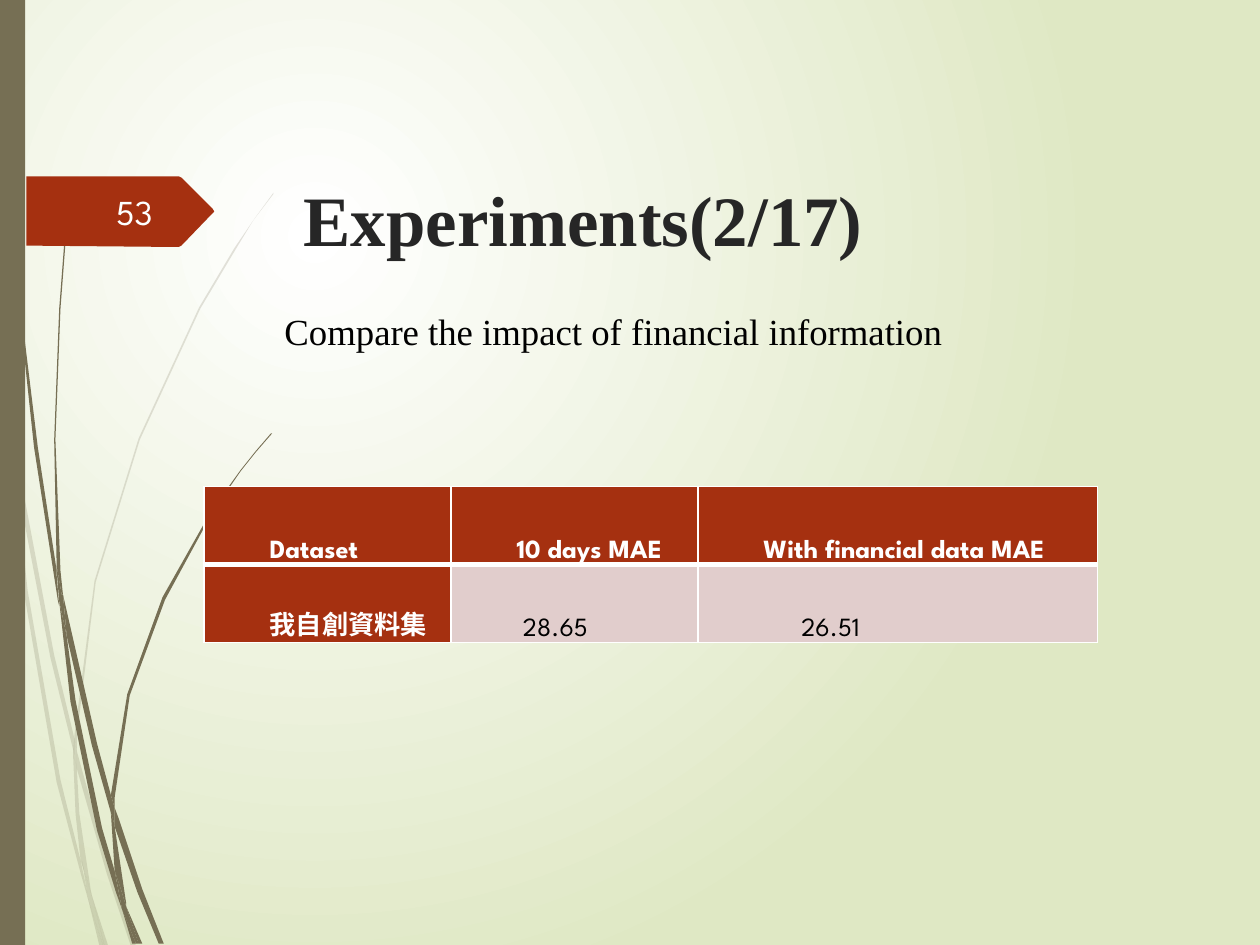
from lxml.etree import SubElement
from pptx import Presentation
from pptx.dml.color import RGBColor
from pptx.enum.shapes import MSO_SHAPE
from pptx.enum.text import MSO_ANCHOR, MSO_AUTO_SIZE, PP_ALIGN
from pptx.oxml.ns import qn
from pptx.util import Pt

EMU_PER_PX = 9144
OLIVE, RUST, PINK, WHITE = "766F54", "A53010", "E1CDCC", "FFFFFF"
SANS, SERIF = "League Spartan", "Times New Roman"

PALE_STALKS = [
    [(8, 350), (6, 322), (0, 282), (0, 299), (7, 344)],
    [(40, 522), (59, 599), (59, 586), (43, 520), (10, 345), (12, 376)],
    [(64, 607), (61, 596), (61, 610), (85, 694), (104, 751), (108, 751), (88, 692)],
    [(83, 751), (86, 751), (73, 711)],
    [(64, 683), (48, 619), (22, 469), (12, 376), (8, 350), (19, 470), (45, 621),
     (64, 693), (70, 714), (69, 707)],
    [(58, 599), (60, 646), (64, 683), (67, 692), (73, 711), (72, 706), (63, 646),
     (61, 610), (61, 608)],
    [(61, 584), (76, 462), (111, 349), (159, 245), (187, 198), (201, 175), (217, 154),
     (217, 153), (201, 175), (186, 197), (158, 244), (110, 348), (75, 461), (59, 584),
     (59, 586), (61, 596)],
    [(70, 714), (79, 751), (82, 751)],
    [(61, 608), (61, 610), (61, 596), (59, 586), (58, 599)],
    [(67, 692), (65, 683), (69, 707), (70, 714), (82, 751), (83, 751), (73, 711)],
]
DARK_STALKS = [
    [(5, 110), (14, 233), (27, 355), (46, 477), (47, 481), (45, 457), (45, 453),
     (30, 355), (15, 232), (6, 109), (4, 48), (3, 0), (2, 0), (3, 48)],
    [(73, 592), (88, 645), (88, 633), (88, 631), (77, 590), (50, 472), (53, 505)],
    [(94, 649), (91, 641), (91, 656), (109, 708), (126, 749), (130, 749), (113, 706)],
    [(91, 691), (81, 657), (60, 556), (53, 505), (47, 477), (56, 557), (77, 659),
     (92, 708), (97, 722), (96, 717)],
    [(50, 472), (48, 453), (44, 349), (48, 245), (52, 193), (58, 141), (51, 193),
     (47, 245), (43, 349), (45, 449), (49, 472)],
    [(110, 749), (113, 749), (100, 719)],
    [(47, 477), (53, 505), (50, 472), (49, 472), (45, 449), (45, 453)],
    [(91, 633), (103, 552), (131, 476), (169, 406), (191, 374), (203, 359), (216, 344),
     (215, 344), (203, 358), (191, 373), (168, 405), (129, 474), (101, 551), (88, 631),
     (91, 641)],
    [(97, 722), (105, 749), (108, 749)],
    [(88, 645), (91, 691), (96, 706), (100, 719), (100, 716), (91, 656), (90, 651)],
    [(88, 645), (90, 651), (91, 656), (91, 641), (88, 631), (88, 633)],
    [(96, 706), (91, 691), (96, 717), (97, 722), (108, 749), (110, 749), (100, 719)],
]
PAGE_TAG = [(169, 169), (144, 195), (142, 196), (132, 196), (21, 195), (21, 140),
            (132, 140), (142, 140), (144, 141), (169, 166), (170, 168)]

HEADERS = ["Dataset", "10 days MAE", "With financial data MAE"]
RESULTS = ["我自創資料集", "28.65", "26.51"]
RESULT_INDENTS = [50, 55, 80]


def px(length):
    """Turn px into EMU."""
    return length * EMU_PER_PX


def color(value):
    """Turn a hex string into a colour."""
    return RGBColor.from_string(value)


def paint(shape, fill, opacity=100):
    """Give a shape a flat fill without line or shadow."""
    shape.shadow.inherit = False
    shape.line.fill.background()
    shape.fill.solid()
    shape.fill.fore_color.rgb = color(fill)
    if opacity < 100:
        fill_color = shape.fill._xPr.find(qn("a:solidFill"))[0]
        SubElement(fill_color, qn("a:alpha"), val=str(opacity * 1000))


def add_outline(shapes, points, fill, opacity=100):
    """Draw a closed filled outline."""
    builder = shapes.build_freeform(*points[0], scale=EMU_PER_PX)
    builder.add_line_segments(points[1:], close=True)
    paint(builder.convert_to_shape(), fill, opacity)


def add_stalks(slide, outlines, opacity):
    """Draw a group of grass stalks."""
    group = slide.shapes.add_group_shape()
    for points in outlines:
        add_outline(group.shapes, points, OLIVE, opacity)


def set_background(slide):
    """Fill the background with a circular gradient."""
    fill = slide.background.fill
    fill.gradient()
    for stop, value in zip(fill.gradient_stops, (WHITE, "DFE8C4")):
        stop.color.rgb = color(value)
    gradient = slide.element.find(".//" + qn("a:gradFill"))
    gradient.remove(gradient.find(qn("a:lin")))
    circle = SubElement(gradient, qn("a:path"), path="circle")
    SubElement(circle, qn("a:fillToRect"), l="50000", t="50000", r="100000", b="100000")


def write(text_frame, text, size, font_name, text_color, bold=False):
    """Set one formatted paragraph and return it."""
    text_frame.text = text
    paragraph = text_frame.paragraphs[0]
    font = paragraph.runs[0].font
    font.size, font.name, font.bold = Pt(size), font_name, bold
    font.color.rgb = color(text_color)
    return paragraph


def add_text(slide, box, *style):
    """Add a wrapping text box and return its shape and paragraph."""
    shape = slide.shapes.add_textbox(*map(px, box))
    shape.text_frame.word_wrap = True
    return shape, write(shape.text_frame, *style)


def set_title(slide, text):
    """Place and format the title."""
    title = slide.shapes.title
    title.left, title.top, title.width, title.height = map(px, (234, 135, 532, 105))
    frame = title.text_frame
    frame.auto_size = MSO_AUTO_SIZE.NONE
    frame.vertical_anchor = MSO_ANCHOR.TOP
    frame.margin_left = frame.margin_right = px(7)
    frame.margin_top = frame.margin_bottom = px(4)
    write(frame, text, 40.5, SERIF, "262626", True).alignment = PP_ALIGN.LEFT


def set_borders(cell, bottom_width):
    """Give a cell white borders."""
    properties = cell._tc.get_or_add_tcPr()
    for side, width in zip("LRTB", (1, 1, 1, bottom_width)):
        line = SubElement(properties, qn("a:ln" + side), w=str(Pt(width)))
        SubElement(SubElement(line, qn("a:solidFill")), qn("a:srgbClr"), val=WHITE)


def fill_cell(cell, text, indent, is_header, bottom_width):
    """Write and format one table cell."""
    set_borders(cell, bottom_width)
    cell.fill.solid()
    cell.fill.fore_color.rgb = color(RUST if is_header else PINK)
    cell.vertical_anchor = MSO_ANCHOR.BOTTOM
    cell.margin_left = cell.margin_right = px(2)
    cell.margin_top = cell.margin_bottom = 0
    text_color = WHITE if is_header else "000000"
    paragraph = write(cell.text_frame, text, 15, SANS, text_color, is_header)
    paragraph.line_spacing = 1.5
    properties = paragraph._p.get_or_add_pPr()
    properties.set("marL", "0")
    properties.set("indent", str(px(indent)))


def add_results(slide):
    """Add the table of results."""
    table = slide.shapes.add_table(2, 3, *map(px, (162, 386, 709, 124))).table
    table.first_row = table.horz_banding = False
    for column, width in zip(table.columns, (196, 196, 317)):
        column.width = px(width)
    for index, (header, result, indent) in enumerate(zip(HEADERS, RESULTS, RESULT_INDENTS)):
        fill_cell(table.cell(0, index), header, 50, True, 3)
        fill_cell(table.cell(1, index), result, indent, index == 0, 1)


def main():
    """Build and save the presentation."""
    presentation = Presentation()
    presentation.slide_width, presentation.slide_height = px(1000), px(750)
    slide = presentation.slides.add_slide(presentation.slide_layouts[5])
    set_background(slide)
    add_stalks(slide, PALE_STALKS, 20)
    add_stalks(slide, DARK_STALKS, 100)
    bar = slide.shapes.add_shape(MSO_SHAPE.RECTANGLE, *map(px, (0, 0, 20, 750)))
    paint(bar, OLIVE)
    add_outline(slide.shapes, PAGE_TAG, RUST)
    number, paragraph = add_text(slide, (67, 148, 64, 40), "53", 20, SANS, "FEFFFF")
    number.text_frame.vertical_anchor = MSO_ANCHOR.MIDDLE
    paragraph.alignment = PP_ALIGN.RIGHT
    set_title(slide, "Experiments(2/17)")
    add_text(slide, (216, 240, 953, 45), "Compare the impact of financial information",
             21, SERIF, "000000")
    add_results(slide)
    presentation.save("out.pptx")


if __name__ == "__main__":
    main()
